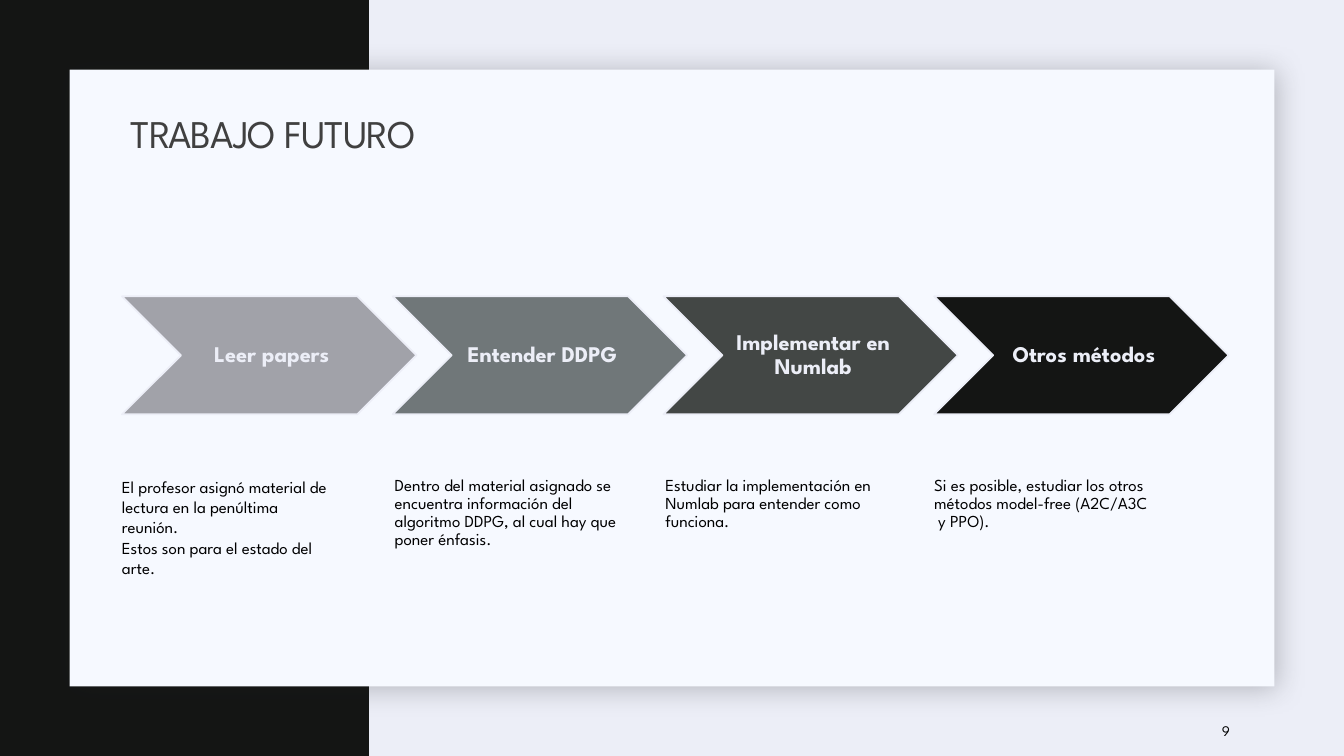
from dataclasses import dataclass

from lxml import etree
from pptx import Presentation
from pptx.dml.color import RGBColor
from pptx.enum.shapes import MSO_SHAPE
from pptx.enum.text import MSO_ANCHOR, PP_ALIGN
from pptx.oxml.ns import qn
from pptx.util import Inches, Pt

RECT, CHEVRON = MSO_SHAPE.RECTANGLE, MSO_SHAPE.CHEVRON
TOP, MIDDLE = MSO_ANCHOR.TOP, MSO_ANCHOR.MIDDLE
LEFT, CENTER = PP_ALIGN.LEFT, PP_ALIGN.CENTER

FONT = "League Spartan"
COLORS = {
    "background": "ECEEF7",
    "panel": "F6F9FF",
    "band": "141514",
    "shadow": "1F2125",
    "title": "404040",
    "text": "000000",
    "step1": "A1A2A9",
    "step2": "707779",
    "step3": "434745",
    "step4": "141514",
}

WIDTH, HEIGHT = 13.33, 7.5
MARGIN = 0.69
GRID_LEFT, GRID_RIGHT = 1.21, 11.95
CHEVRON_TOP, CHEVRON_W, CHEVRON_H = 2.94, 2.92, 1.17
DETAIL_TOP, DETAIL_W, DETAIL_H = 4.26, 2.34, 1.52


@dataclass
class Step:
    label: str
    details: list[str]
    color: str
    left_inset: float = 0
    right_inset: float = 0.2
    spacing: float = 0.9


STEPS = [
    Step("Leer papers",
         ["El profesor asignó material de lectura en la penúltima reunión.",
          "Estos son para el estado del arte."],
         "step1", spacing=1.0),
    Step("Entender DDPG",
         ["Dentro del material asignado se encuentra información del "
          "algoritmo DDPG, al cual hay que poner énfasis."],
         "step2", left_inset=0.02, right_inset=0),
    Step("Implementar en Numlab",
         ["Estudiar la implementación en Numlab para entender como funciona."],
         "step3", left_inset=0.02),
    Step("Otros métodos",
         ["Si es posible, estudiar los otros métodos model-free "
          "(A2C/A3C \u00a0y PPO)."],
         "step4"),
]
COLUMN = (GRID_RIGHT - GRID_LEFT) / len(STEPS)


def rgb(name: str) -> RGBColor:
    return RGBColor.from_string(COLORS[name])


def add_block(s, kind, x: float, y: float, w: float, h: float,
              fill: str, line: str | None = None):
    sp = s.shapes.add_shape(kind, Inches(x), Inches(y), Inches(w), Inches(h))
    sp.shadow.inherit = False
    sp.fill.solid()
    sp.fill.fore_color.rgb = rgb(fill)
    if line:
        sp.line.color.rgb = rgb(line)
        sp.line.width = Pt(1.25)
    else:
        sp.line.fill.background()
    return sp


def add_box(s, x: float, y: float, w: float, h: float):
    return s.shapes.add_textbox(Inches(x), Inches(y), Inches(w), Inches(h))


def write(sp, paragraphs: list[str], *, size: float, color: str = "text",
          bold: bool = False, align=LEFT, anchor=MIDDLE, spacing: float = 0.9,
          insets: tuple = (0.1, 0.05, 0.1, 0.05), tracking: int = 0) -> None:
    tf = sp.text_frame
    tf.word_wrap = True
    tf.vertical_anchor = anchor
    tf.margin_left, tf.margin_top, tf.margin_right, tf.margin_bottom = map(Inches, insets)
    for i, text in enumerate(paragraphs):
        p = tf.add_paragraph() if i else tf.paragraphs[0]
        p.alignment = align
        p.line_spacing = spacing
        r = p.add_run()
        r.text = text
        r.font.name = FONT
        r.font.size = Pt(size)
        r.font.bold = bold
        r.font.color.rgb = rgb(color)
        if tracking:
            r.font._element.set("spc", str(tracking))


def add_shadow(sp, blur: float, distance: float, angle: int, alpha: int) -> None:
    effects = sp._element.spPr.find(qn("a:effectLst"))
    shadow = etree.SubElement(
        effects, qn("a:outerShdw"), blurRad=str(Pt(blur)), dist=str(Pt(distance)),
        dir=str(angle * 60000), algn="ctr", rotWithShape="0")
    color = etree.SubElement(shadow, qn("a:srgbClr"), val=COLORS["shadow"])
    etree.SubElement(color, qn("a:alpha"), val=str(alpha * 1000))


def add_step(s, column: int, step: Step) -> None:
    x = GRID_LEFT + column * COLUMN
    chevron = add_block(s, CHEVRON, x, CHEVRON_TOP, CHEVRON_W, CHEVRON_H,
                        step.color, "background")
    write(chevron, [step.label], size=16, color="background", bold=True,
          align=CENTER, insets=(0.07, 0.02, 0.02, 0.02))
    detail = add_box(s, x, DETAIL_TOP, DETAIL_W, DETAIL_H)
    write(detail, step.details, size=12, anchor=TOP, spacing=step.spacing,
          insets=(step.left_inset, 0.47, step.right_inset, 0))


prs = Presentation()
prs.slide_width, prs.slide_height = Inches(WIDTH), Inches(HEIGHT)
s = prs.slides.add_slide(prs.slide_layouts[6])
s.background.fill.solid()
s.background.fill.fore_color.rgb = rgb("background")

add_block(s, RECT, 0, 0, 3.66, HEIGHT, "band")
panel = add_block(s, RECT, MARGIN, MARGIN, WIDTH - 2 * MARGIN,
                  HEIGHT - 2 * MARGIN, "panel")
add_shadow(panel, blur=20, distance=2, angle=45, alpha=28)

for column, step in enumerate(STEPS):
    add_step(s, column, step)

write(add_box(s, 1.2, 1.03, 11, 0.64), ["TRABAJO FUTURO"],
      size=28, color="title", tracking=-50)
write(add_box(s, 12.02, 7.05, 0.85, 0.4), ["9"], size=10.5, spacing=1.0)

prs.save("out.pptx")
